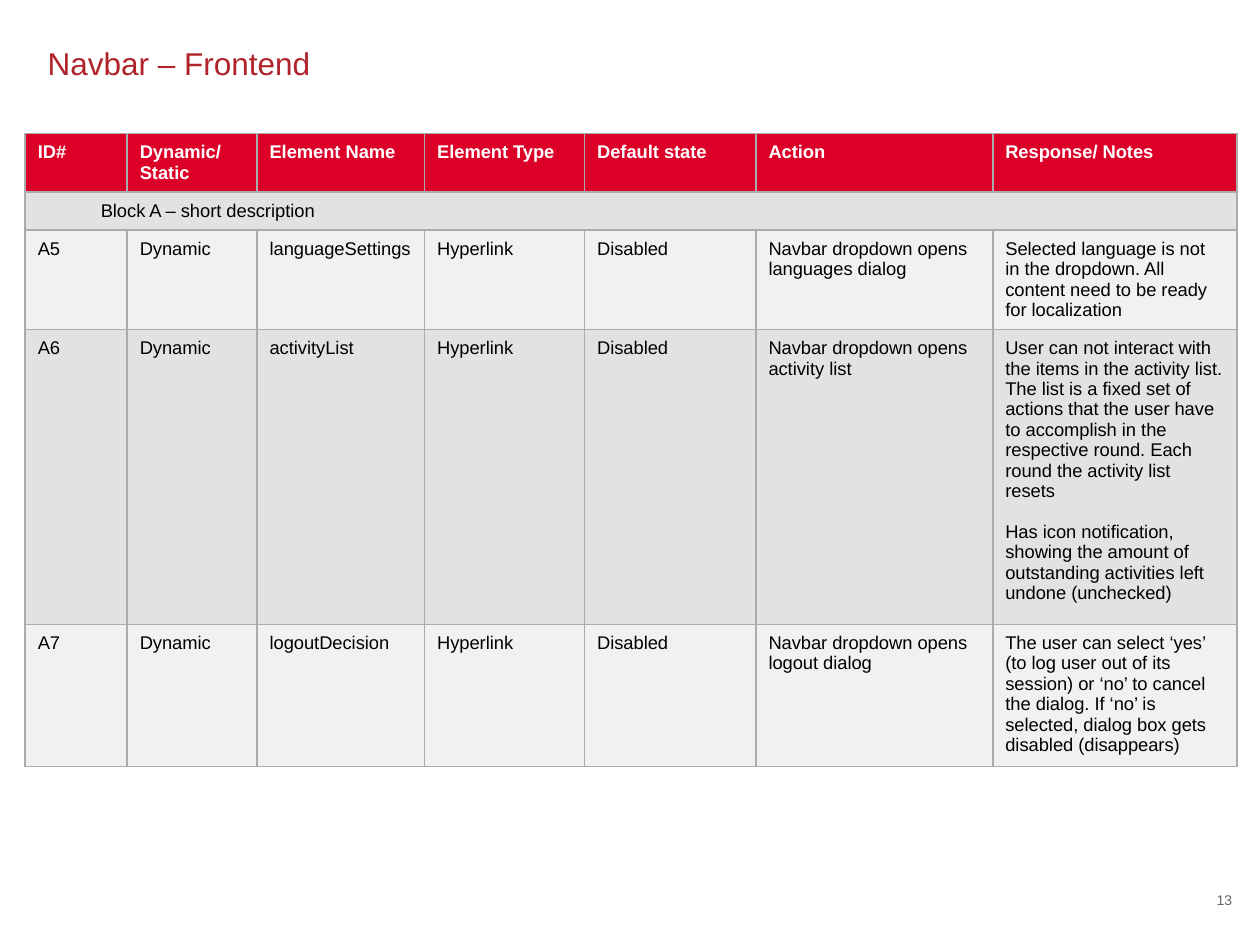
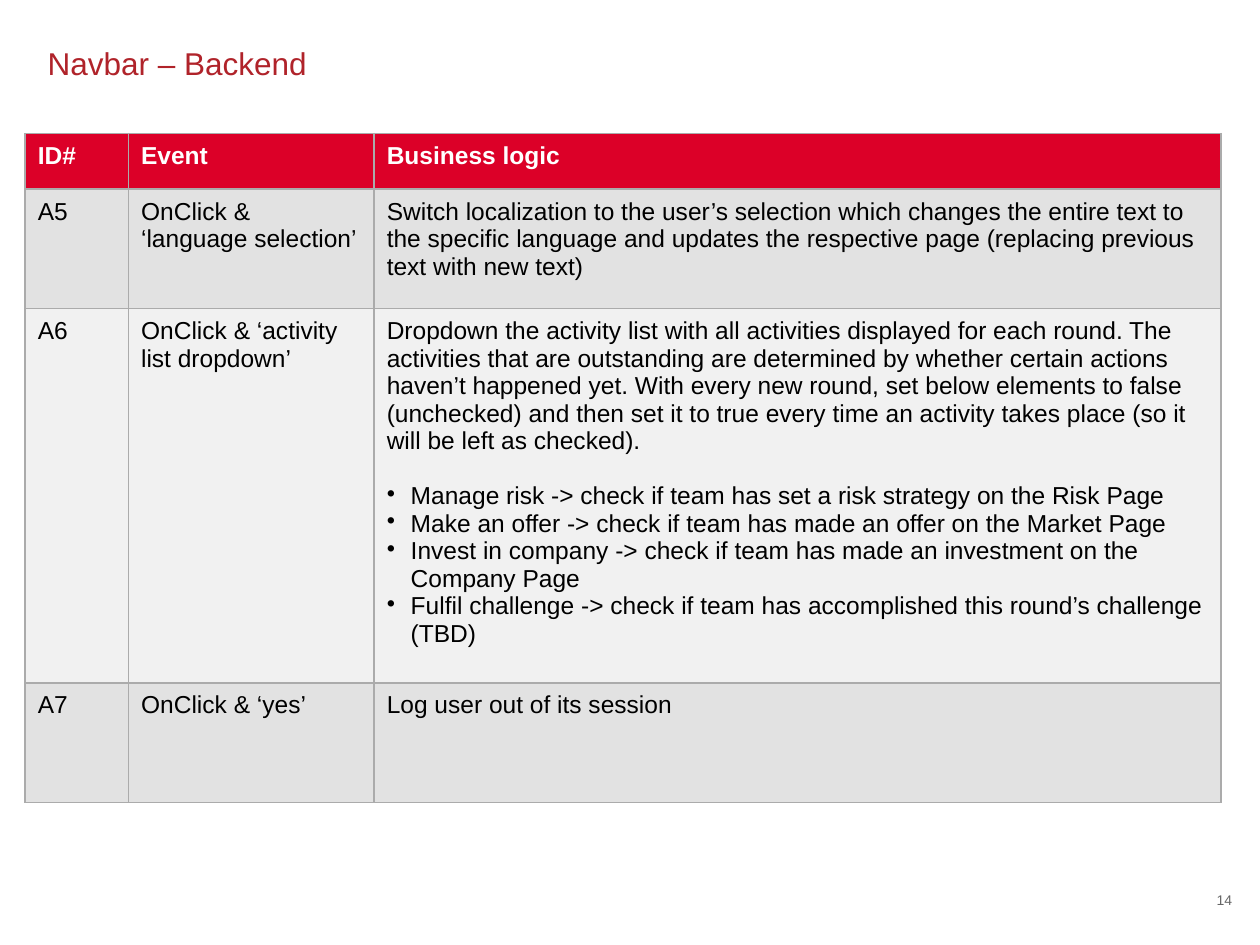
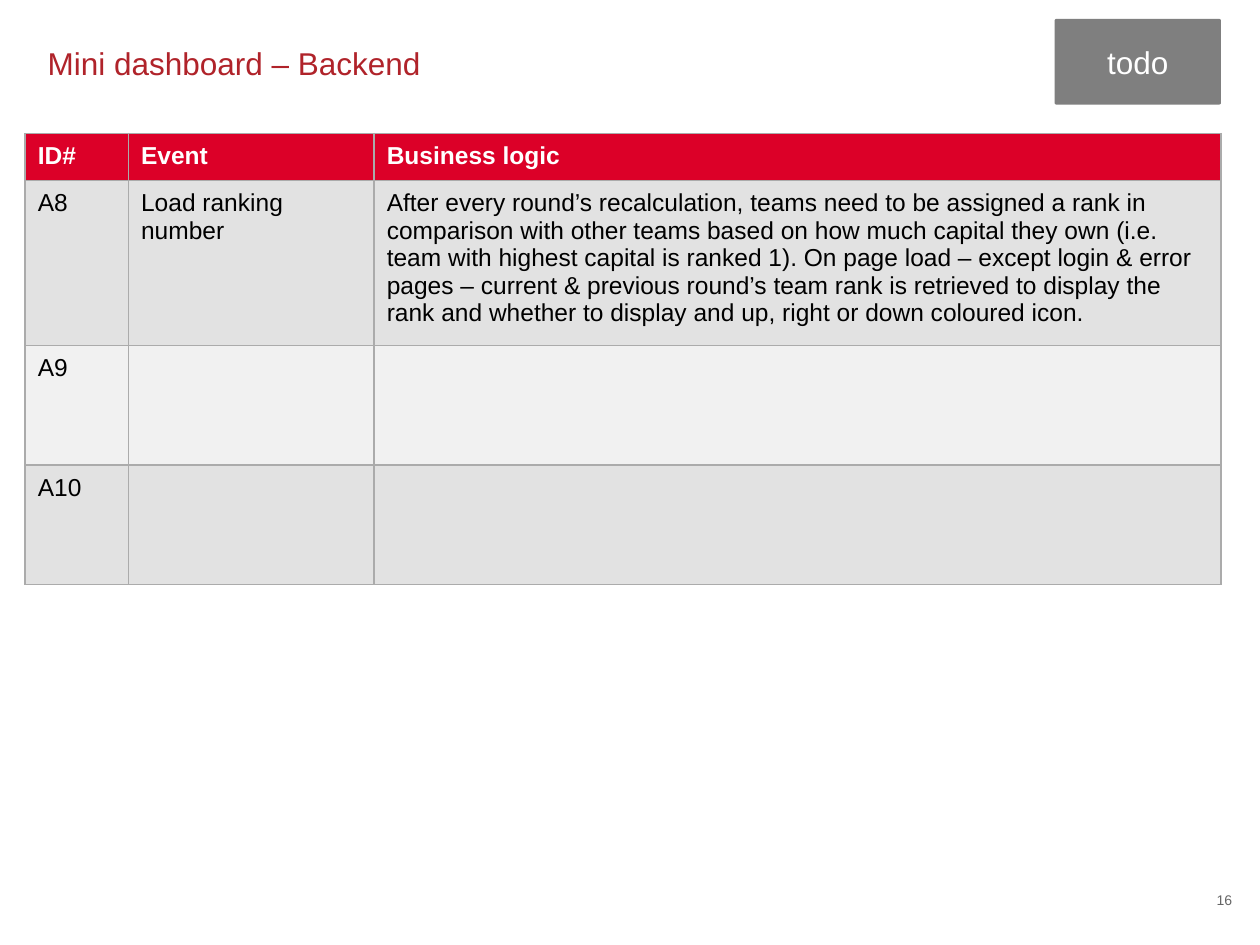
from pptx import Presentation
from pptx.dml.color import RGBColor
from pptx.enum.shapes import MSO_SHAPE
from pptx.enum.text import MSO_ANCHOR, PP_ALIGN
from pptx.oxml import parse_xml
from pptx.oxml.ns import nsdecls
from pptx.util import Inches, Pt

COLORS = {
    "title": "B0232A", "header": "DC0028", "dark": "E2E2E2", "light": "F1F1F1",
    "border": "ABABAB", "text": "000000", "white": "FFFFFF", "number": "666666",
    "todo": "7F7F7F",
}
FONT = "Arial"
LINE_HEIGHT = 1.12
TABLE_LEFT, TABLE_TOP = 0.2, 1.06
BULLET = "• "

BACKEND_HEADER = ["ID#", "Event", "Business logic"]
BACKEND_COLS = [0.82, 1.95, 6.72]

SLIDES = [
    {
        "title": "Navbar – Frontend", "number": "13", "size": 10.5,
        "cols": [0.81, 1.03, 1.33, 1.27, 1.36, 1.88, 1.94],
        "heights": [0.44, 0.3, 0.79, 2.34, 1.13],
        "rows": [
            ["ID#", "Dynamic/Static", "Element Name", "Element Type", "Default state",
             "Action", "Response/ Notes"],
            ["Block A – short description"],
            ["A5", "Dynamic", "languageSettings", "Hyperlink", "Disabled",
             "Navbar dropdown opens languages dialog",
             "Selected language is not in the dropdown. All content need to be ready "
             "for localization"],
            ["A6", "Dynamic", "activityList", "Hyperlink", "Disabled",
             "Navbar dropdown opens activity list",
             ["User can not interact with the items in the activity list. The list is "
              "a fixed set of actions that the user have to accomplish in the "
              "respective round. Each round the activity list resets",
              "Has icon notification, showing the amount of outstanding activities "
              "left undone (unchecked)"]],
            ["A7", "Dynamic", "logoutDecision", "Hyperlink", "Disabled",
             "Navbar dropdown opens logout dialog",
             "The user can select ‘yes’ (to log user out of its session) or ‘no’ to "
             "cancel the dialog. If ‘no’ is selected, dialog box gets disabled "
             "(disappears)"],
        ],
    },
    {
        "title": "Navbar – Backend", "number": "14", "size": 14,
        "cols": BACKEND_COLS, "heights": [0.44, 0.95, 2.97, 0.95],
        "rows": [
            BACKEND_HEADER,
            ["A5", "OnClick & ‘language selection’",
             "Switch localization to the user’s selection which changes the entire "
             "text to the specific language and updates the respective page "
             "(replacing previous text with new text)"],
            ["A6", "OnClick & ‘activity list dropdown’",
             ["Dropdown the activity list with all activities displayed for each "
              "round. The activities that are outstanding are determined by whether "
              "certain actions haven’t happened yet. With every new round, set below "
              "elements to false (unchecked) and then set it to true every time an "
              "activity takes place (so it will be left as checked).",
              "• Manage risk -> check if team has set a risk strategy on the Risk Page",
              "• Make an offer -> check if team has made an offer on the Market Page",
              "• Invest in company -> check if team has made an investment on the "
              "Company Page",
              "• Fulfil challenge -> check if team has accomplished this round’s "
              "challenge (TBD)"]],
            ["A7", "OnClick & ‘yes’", "Log user out of its session"],
        ],
    },
    {
        "title": "Mini dashboard – Backend", "number": "16", "size": 14, "badge": "todo",
        "cols": BACKEND_COLS, "heights": [0.37, 1.23, 0.95, 0.95],
        "rows": [
            BACKEND_HEADER,
            ["A8", "Load ranking number",
             "After every round’s recalculation, teams need to be assigned a rank in "
             "comparison with other teams based on how much capital they own (i.e. "
             "team with highest capital is ranked 1). On page load – except login & "
             "error pages – current & previous round’s team rank is retrieved to "
             "display the rank and whether to display and up, right or down coloured "
             "icon."],
            ["A9", "", ""],
            ["A10", "", ""],
        ],
    },
]


def rgb(name):
    return RGBColor.from_string(COLORS[name])


def set_font(p, size, color, bold=False):
    p.font.name, p.font.size, p.font.bold = FONT, Pt(size), bold
    p.font.color.rgb = rgb(color)


def set_indent(p, left, first=0):
    pPr = p._p.get_or_add_pPr()
    pPr.set("marL", str(Inches(left)))
    pPr.set("indent", str(Inches(first)))
    return pPr


def add_text(s, text, box, size, color, align=PP_ALIGN.LEFT, flush=False):
    tf = s.shapes.add_textbox(*map(Inches, box)).text_frame
    tf.word_wrap = True
    if flush:
        tf.margin_left = tf.margin_right = tf.margin_top = tf.margin_bottom = 0
        tf.vertical_anchor = MSO_ANCHOR.MIDDLE
    p = tf.paragraphs[0]
    p.text, p.alignment = text, align
    set_font(p, size, color)


def add_borders(cell):
    tcPr = cell._tc.get_or_add_tcPr()
    for i, side in enumerate(("lnL", "lnR", "lnT", "lnB")):
        tcPr.insert(i, parse_xml(
            f'<a:{side} {nsdecls("a")} w="{Pt(1)}"><a:solidFill>'
            f'<a:srgbClr val="{COLORS["border"]}"/></a:solidFill></a:{side}>'))


def fill_cell(cell, content, size, is_header):
    cell.margin_left = cell.margin_right = Inches(0.1)
    cell.margin_top = cell.margin_bottom = Inches(0.07)
    tf = cell.text_frame
    lines = content if isinstance(content, list) else [content]
    for i, line in enumerate(lines):
        p = tf.add_paragraph() if i else tf.paragraphs[0]
        p.text = line.removeprefix(BULLET)
        if i == 1:
            p.space_before = Pt(round(size * LINE_HEIGHT, 1))
        if line.startswith(BULLET):
            set_indent(p, 0.19, -0.19).append(
                parse_xml(f'<a:buChar {nsdecls("a")} char="•"/>'))
        set_font(p, size, "white" if is_header else "text", is_header)


def add_table(s, data):
    rows, cols, heights = data["rows"], data["cols"], data["heights"]
    table = s.shapes.add_table(
        len(rows), len(cols), Inches(TABLE_LEFT), Inches(TABLE_TOP),
        Inches(sum(cols)), Inches(sum(heights))).table
    for col, width in zip(table.columns, cols):
        col.width = Inches(width)
    for r, (row, height) in enumerate(zip(rows, heights)):
        table.rows[r].height = Inches(height)
        shade = "header" if r == 0 else "dark" if r % 2 else "light"
        for c in range(len(cols)):
            cell = table.cell(r, c)
            fill_cell(cell, row[c] if c < len(row) else "", data["size"], r == 0)
            cell.fill.solid()
            cell.fill.fore_color.rgb = rgb(shade)
            add_borders(cell)
        if len(row) == 1:
            block = table.cell(r, 0)
            block.merge(table.cell(r, len(cols) - 1))
            block.vertical_anchor = MSO_ANCHOR.MIDDLE
            p = block.text_frame.paragraphs[0]
            p.level = 1
            set_indent(p, 0.5)


def add_badge(s, text):
    sp = s.shapes.add_shape(MSO_SHAPE.ROUNDED_RECTANGLE,
                            *map(Inches, (8.37, 0.15, 1.32, 0.68)))
    sp.adjustments[0] = 0.02
    sp.shadow.inherit = False
    sp.fill.solid()
    sp.fill.fore_color.rgb = rgb("todo")
    sp.line.fill.background()
    tf = sp.text_frame
    tf.vertical_anchor = MSO_ANCHOR.MIDDLE
    p = tf.paragraphs[0]
    p.text, p.alignment = text, PP_ALIGN.CENTER
    set_font(p, 18, "white")


def main():
    prs = Presentation()
    prs.slide_width, prs.slide_height = Inches(10), Inches(7.5)
    for data in SLIDES:
        s = prs.slides.add_slide(prs.slide_layouts[6])
        add_table(s, data)
        if "badge" in data:
            add_badge(s, data["badge"])
        add_text(s, data["title"], (0.28, 0.3, 9.37, 0.54), 18, "title")
        add_text(s, data["number"], (9.43, 7.06, 0.35, 0.16), 8, "number",
                 PP_ALIGN.RIGHT, flush=True)
    prs.save("out.pptx")


if __name__ == "__main__":
    main()
